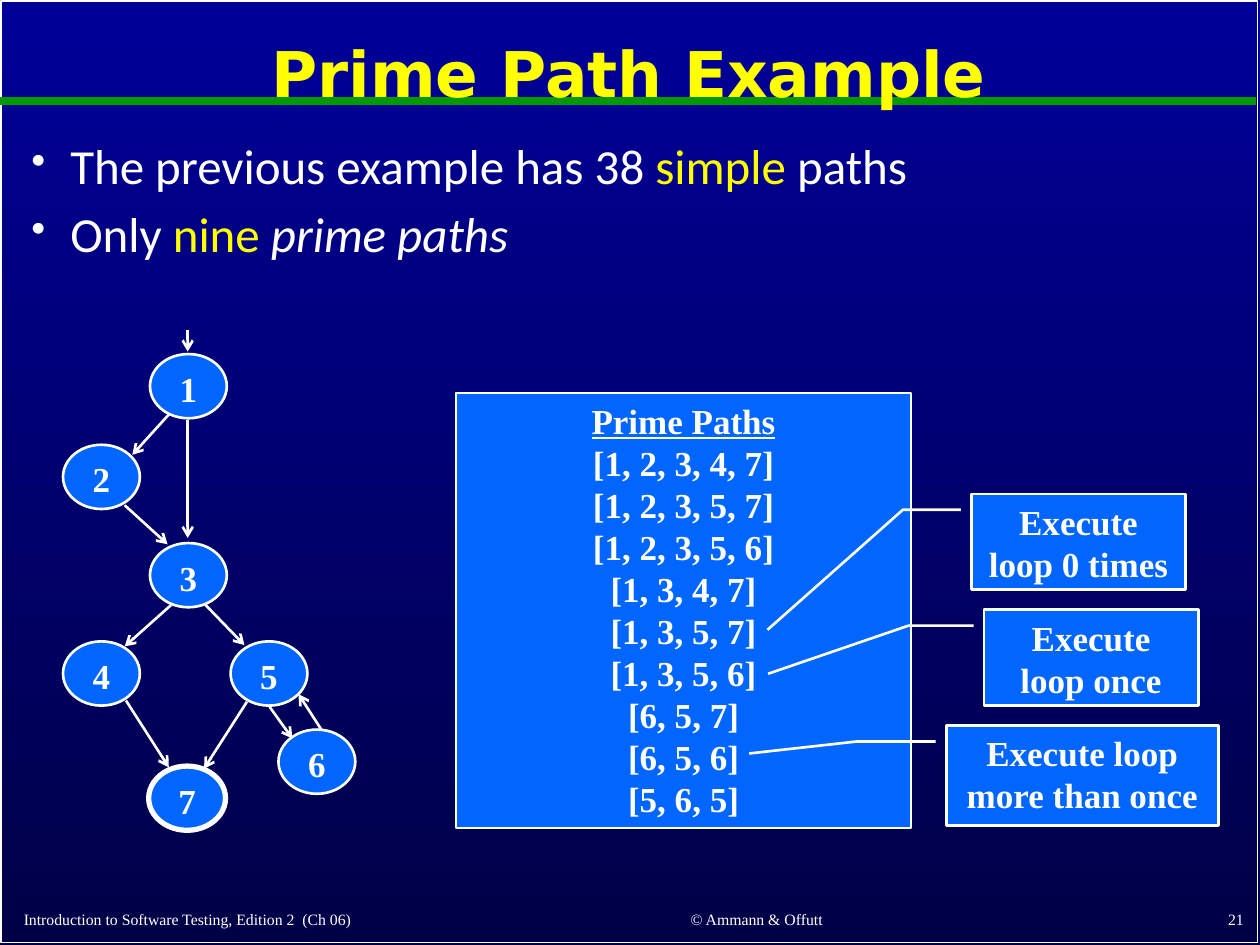
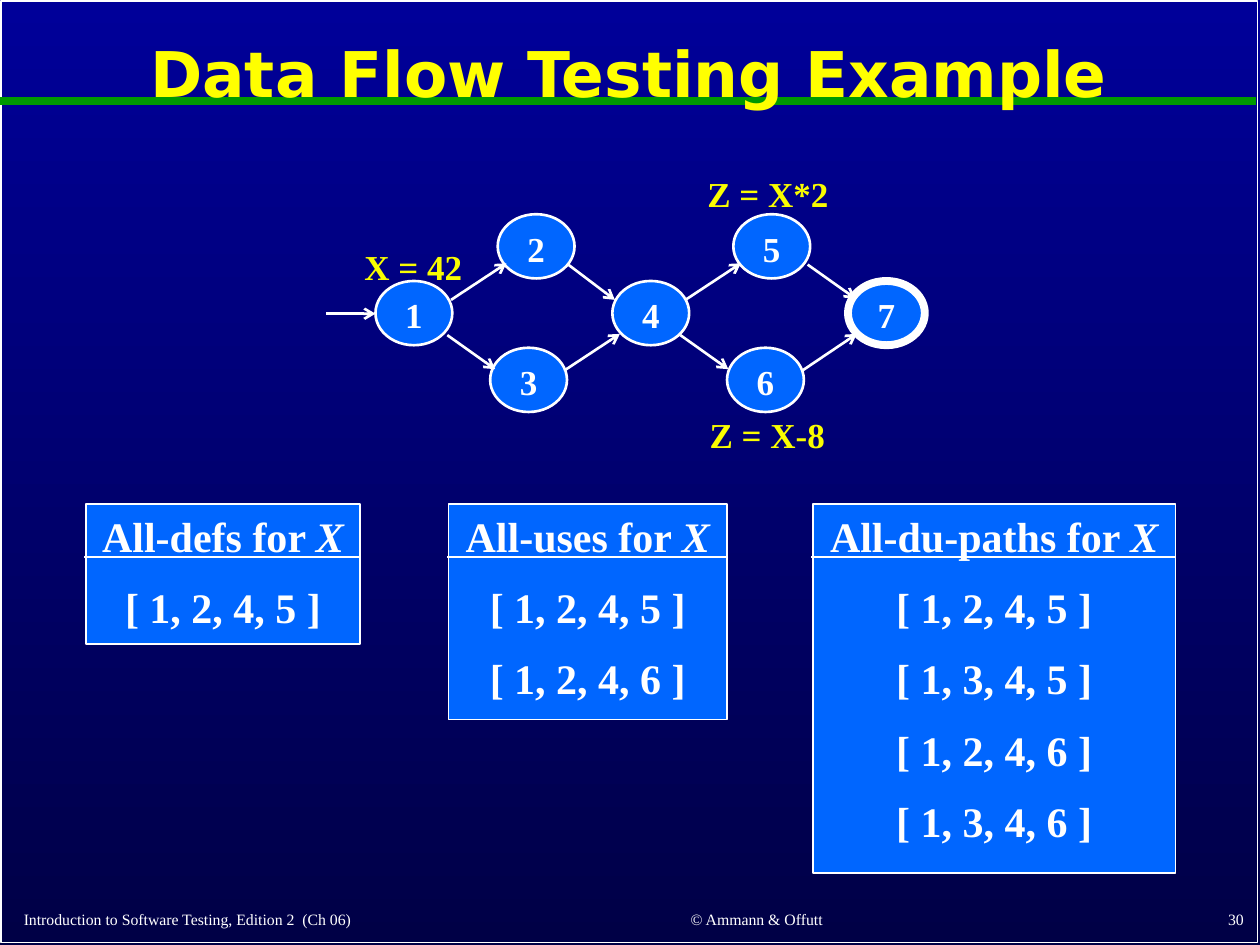
from lxml.etree import SubElement
from pptx import Presentation
from pptx.dml.color import RGBColor
from pptx.enum.shapes import MSO_CONNECTOR, MSO_SHAPE
from pptx.enum.text import MSO_ANCHOR, MSO_AUTO_SIZE, PP_ALIGN
from pptx.oxml.ns import qn
from pptx.util import Inches, Pt

WHITE = RGBColor(0xFF, 0xFF, 0xFF)
YELLOW = RGBColor(0xFF, 0xFF, 0x00)
LABEL_YELLOW = RGBColor(0xFA, 0xFD, 0x00)
BLUE = RGBColor(0x00, 0x66, 0xFF)
GREEN = RGBColor(0x00, 0x99, 0x00)
NAVY_TOP = RGBColor(0x00, 0x00, 0x99)
NAVY_BOTTOM = RGBColor(0x00, 0x00, 0x46)

SERIF = "Times New Roman"
TITLE_FONT = "DejaVu Sans"
BODY_FONT = "Calibri"
NODE_SIZE = (0.61, 0.51)


class Deck:
    def __init__(self):
        self.prs = Presentation()
        self.prs.slide_width, self.prs.slide_height = Inches(10), Inches(7.5)
        fill = self.prs.slide_master.background.fill
        fill.gradient()
        fill.gradient_angle = 270
        for stop, color in zip(fill.gradient_stops, (NAVY_TOP, NAVY_BOTTOM)):
            stop.color.rgb = color
        self.slide = None

    def new_slide(self, title, number):
        self.slide = self.prs.slides.add_slide(self.prs.slide_layouts[5])
        self.shape(MSO_SHAPE.RECTANGLE, (0.01, 0.01, 9.97, 7.47), 1, filled=False)
        self.line((0, 0.8), (9.97, 0.8), 4.5, GREEN)
        self.title(title)
        footers = (
            ("Introduction to Software Testing, Edition 2  (Ch 06)", 0.09, 4.12, PP_ALIGN.LEFT),
            ("© Ammann & Offutt", 4.42, 3.17, PP_ALIGN.CENTER),
            (str(number), 7.89, 2.08, PP_ALIGN.RIGHT),
        )
        for words, left, width, align in footers:
            self.text((left, 7.12, width, 0.3), [[(words, {})]], 9, align=align,
                      anchor=MSO_ANCHOR.BOTTOM)

    def title(self, words):
        title = self.slide.shapes.title
        title.element.getparent().append(title.element)
        title.left, title.top, title.width, title.height = map(Inches, (0.09, 0.11, 9.8, 1))
        self.set_text(title.text_frame, [[(words, {"bold": True})]], 36, TITLE_FONT, YELLOW,
                      anchor=MSO_ANCHOR.MIDDLE, line_spacing=0.9)

    def set_text(self, frame, paragraphs, size, font=SERIF, color=WHITE,
                 align=PP_ALIGN.CENTER, anchor=MSO_ANCHOR.TOP, gap=0, line_spacing=None,
                 bullets=False):
        frame.word_wrap = True
        frame.auto_size = MSO_AUTO_SIZE.NONE
        frame.vertical_anchor = anchor
        for index, runs in enumerate(paragraphs):
            paragraph = frame.add_paragraph() if index else frame.paragraphs[0]
            if bullets:
                self.bullet(paragraph)
            paragraph.alignment = align
            if line_spacing:
                paragraph.line_spacing = line_spacing
            if index and gap:
                paragraph.space_before = Pt(gap)
            for words, changes in runs:
                run = paragraph.add_run()
                run.text = words
                run.font.name = font
                run.font.size = Pt(size)
                run.font.color.rgb = changes.get("color", color)
                run.font.bold = changes.get("bold", False)
                run.font.italic = changes.get("italic", False)
                run.font.underline = changes.get("underline", False)

    def bullet(self, paragraph):
        properties = paragraph._p.get_or_add_pPr()
        properties.set("marL", str(Inches(0.31)))
        properties.set("indent", str(Inches(-0.31)))
        SubElement(properties, qn("a:buSzPct")).set("val", "85000")
        SubElement(properties, qn("a:buChar")).set("char", "•")

    def text(self, box, paragraphs, size, **style):
        frame = self.slide.shapes.add_textbox(*map(Inches, box)).text_frame
        self.set_text(frame, paragraphs, size, **style)

    def shape(self, kind, box, line_width, filled=True):
        shape = self.slide.shapes.add_shape(kind, *map(Inches, box))
        shape.shadow.inherit = False
        if filled:
            shape.fill.solid()
            shape.fill.fore_color.rgb = BLUE
        else:
            shape.fill.background()
        shape.line.color.rgb = WHITE
        shape.line.width = Pt(line_width)
        return shape

    def panel(self, box, paragraphs, size, gap=0):
        panel = self.shape(MSO_SHAPE.RECTANGLE, box, 1)
        self.set_text(panel.text_frame, paragraphs, size, gap=gap)

    def callout(self, box, words, adjustments):
        callout = self.shape(MSO_SHAPE.LINE_CALLOUT_2, box, 1.5)
        for index, value in enumerate(adjustments):
            callout.adjustments[index] = value
        self.set_text(callout.text_frame, [[(words, {"bold": True})]], 20)

    def node(self, name, left, top, line_width=1.5):
        node = self.shape(MSO_SHAPE.OVAL, (left, top, *NODE_SIZE), line_width)
        frame = node.text_frame
        frame.margin_left = frame.margin_right = frame.margin_bottom = 0
        frame.margin_top = Inches(0.03)
        self.set_text(frame, [[(name, {"bold": True})]], 20, anchor=MSO_ANCHOR.MIDDLE)

    def line(self, start, end, width=1.5, color=WHITE, arrow=False):
        line = self.slide.shapes.add_connector(
            MSO_CONNECTOR.STRAIGHT, *map(Inches, (*start, *end)))
        line.line.color.rgb = color
        line.line.width = Pt(width)
        properties = line.element.spPr
        if arrow:
            SubElement(properties.find(qn("a:ln")), qn("a:tailEnd")).set("type", "arrow")
        SubElement(properties, qn("a:effectLst"))

    def graph(self, nodes, edges, final_width):
        for name, (left, top) in nodes.items():
            self.node(name, left, top, final_width if name == "7" else 1.5)
        for start, end in edges:
            self.line(start, end, arrow=True)


def prime_path_slide(deck):
    deck.new_slide("Prime Path Example", 21)
    yellow = {"color": YELLOW}
    findings = [
        [("The previous example has 38 ", {}), ("simple", yellow), (" paths", {})],
        [("Only ", {}), ("nine ", yellow), ("prime paths", {"italic": True})],
    ]
    deck.text((0.15, 1.08, 9.7, 1.4), findings, 28, font=BODY_FONT, align=PP_ALIGN.LEFT,
              gap=8.4, line_spacing=0.9, bullets=True)

    prime_paths = ("[1, 2, 3, 4, 7]", "[1, 2, 3, 5, 7]", "[1, 2, 3, 5, 6]", "[1, 3, 4, 7]",
                   "[1, 3, 5, 7]", "[1, 3, 5, 6]", "[6, 5, 7]", "[6, 5, 6]", "[5, 6, 5]")
    heading = [("Prime Paths", {"bold": True, "underline": True})]
    deck.panel((3.62, 3.12, 3.61, 3.45),
               [heading] + [[(route, {"bold": True})] for route in prime_paths], 20)

    deck.callout((7.71, 3.92, 1.7, 0.76), "Execute loop 0 times",
                 (0.166, -0.049, 0.166, -0.32, 1.42, -0.952))
    deck.callout((7.81, 4.84, 1.7, 0.76), "Execute loop once",
                 (0.166, -0.049, 0.166, -0.353, 0.668, -1.008))
    deck.callout((7.51, 5.76, 2.16, 0.79), "Execute loop more than once",
                 (0.158, -0.039, 0.158, -0.328, 0.279, -0.724))

    nodes = {"1": (1.19, 2.81), "2": (0.5, 3.53), "3": (1.19, 4.31), "4": (0.5, 5.09),
             "5": (1.83, 5.09), "6": (2.21, 5.79), "7": (1.18, 6.08)}
    edges = (
        ((1.49, 2.62), (1.49, 2.79)),
        ((1.34, 3.29), (1.05, 3.61)),
        ((1.49, 3.33), (1.49, 4.27)),
        ((0.99, 4.01), (1.33, 4.32)),
        ((1.36, 4.8), (0.99, 5.13)),
        ((1.63, 4.8), (1.94, 5.12)),
        ((1, 5.56), (1.34, 6.09)),
        ((1.96, 5.57), (1.62, 6.1)),
        ((2.14, 5.61), (2.32, 5.86)),
        ((2.55, 5.79), (2.37, 5.51)),
    )
    deck.graph(nodes, edges, 3)


def data_flow_slide(deck):
    deck.new_slide("Data Flow Testing Example", 30)
    nodes = {"1": (2.98, 2.23), "2": (3.95, 1.7), "3": (3.89, 2.76), "4": (4.86, 2.23),
             "5": (5.82, 1.7), "6": (5.77, 2.76), "7": (6.73, 2.23)}
    edges = (
        ((2.59, 2.49), (2.98, 2.49)),
        ((3.58, 2.38), (4.02, 2.09)),
        ((3.55, 2.66), (3.93, 2.93)),
        ((4.51, 2.1), (4.88, 2.38)),
        ((4.48, 2.94), (4.92, 2.65)),
        ((5.44, 2.38), (5.88, 2.09)),
        ((5.4, 2.66), (5.78, 2.93)),
        ((6.41, 2.1), (6.79, 2.37)),
        ((6.37, 2.94), (6.8, 2.65)),
    )
    deck.graph(nodes, edges, 4.5)

    statements = (("X = 42", 2.72, 1.9, 1.12), ("Z = X-8", 5.53, 3.23, 1.12),
                  ("Z = X*2", 5.44, 1.32, 1.31))
    for words, left, top, width in statements:
        deck.text((left, top, width, 0.43), [[(words, {"bold": True})]], 20,
                  color=LABEL_YELLOW)

    criteria = (
        ("All-defs for ", 0.68, 2.18, 1.11, ("[ 1, 2, 4, 5 ]",)),
        ("All-uses for ", 3.56, 2.21, 1.71, ("[ 1, 2, 4, 5 ]", "[ 1, 2, 4, 6 ]")),
        ("All-du-paths for ", 6.45, 2.88, 2.93,
         ("[ 1, 2, 4, 5 ]", "[ 1, 3, 4, 5 ]", "[ 1, 2, 4, 6 ]", "[ 1, 3, 4, 6 ]")),
    )
    for name, left, width, height, routes in criteria:
        heading = [(name, {"bold": True}), ("X", {"bold": True, "italic": True})]
        deck.panel((left, 4, width, height),
                   [heading] + [[(route, {"bold": True})] for route in routes], 24, gap=12)
        deck.line((left - 0.01, 4.42), (left + width, 4.42))


def main():
    deck = Deck()
    prime_path_slide(deck)
    data_flow_slide(deck)
    deck.prs.save("out.pptx")


if __name__ == "__main__":
    main()
